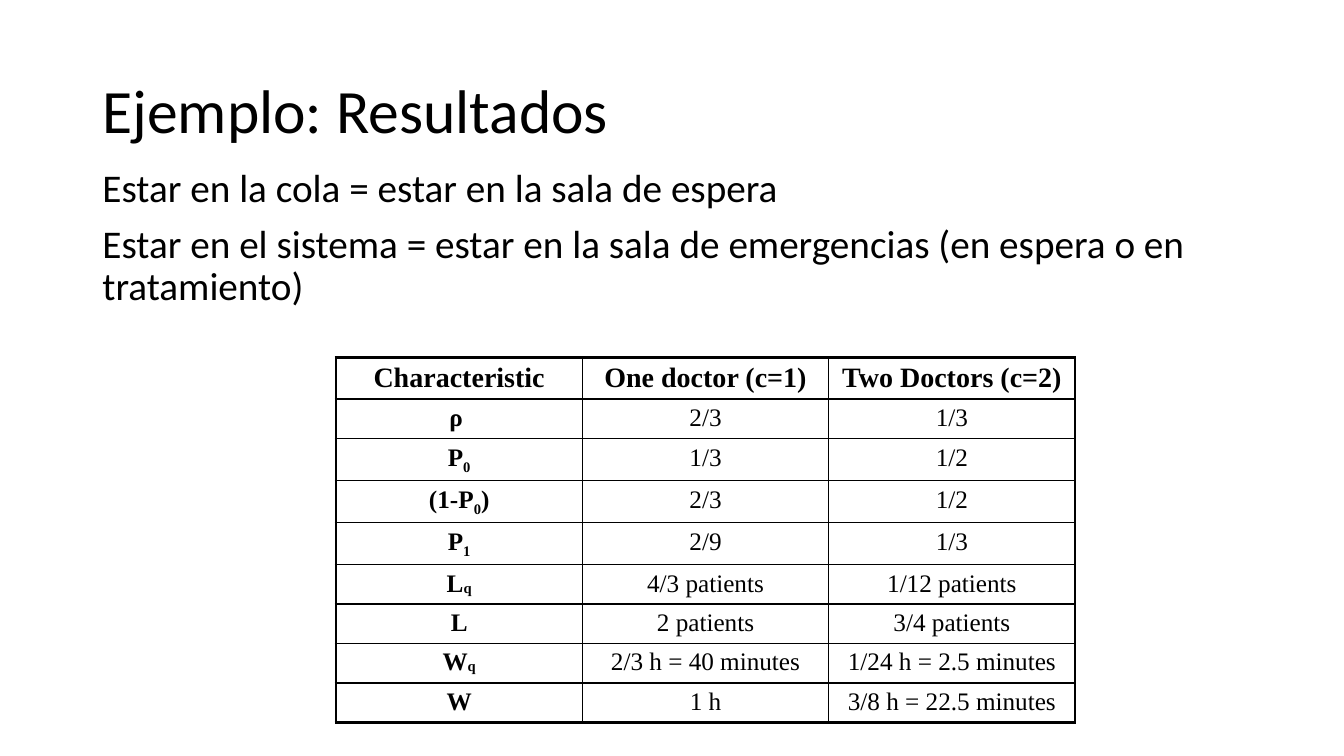
from dataclasses import dataclass

from lxml import etree
from pptx import Presentation
from pptx import util as u
from pptx.dml.color import RGBColor
from pptx.enum import text
from pptx.oxml import ns


@dataclass(frozen=True)
class Theme:
    """Colours, fonts and type sizes of the slide."""
    ink: str = "000000"
    font: str = "Calibri"
    table_font: str = "Times New Roman"
    title: float = 44
    body: float = 28
    header: float = 20
    cell: float = 18
    thick: float = 2.25
    thin: float = 1


class Deck:
    """Holds the theme and the current slide, and adds elements to it."""

    def __init__(self, prs, theme):
        """Start a title-and-content slide."""
        self.theme = theme
        self.s = prs.slides.add_slide(prs.slide_layouts[1])

    def style(self, r, size, font, bold=False):
        """Format one run."""
        r.font.size = u.Pt(size)
        r.font.name = font
        r.font.bold = bold
        r.font.color.rgb = RGBColor.from_string(self.theme.ink)

    def placeholder(self, sp, box, lines, size, anchor, before=0):
        """Move a placeholder and fill it with unbulleted paragraphs."""
        sp.left, sp.top, sp.width, sp.height = (u.Pt(v) for v in box)
        tf = sp.text_frame
        tf.text = "\n".join(lines)
        tf.word_wrap = True
        tf.auto_size = text.MSO_AUTO_SIZE.NONE
        tf.vertical_anchor = anchor
        for p in tf.paragraphs:
            p.alignment = text.PP_ALIGN.LEFT
            p.line_spacing = 0.9
            p.space_before = u.Pt(before)
            pPr = p._p.get_or_add_pPr()
            pPr.set("marL", "0")
            pPr.set("indent", "0")
            etree.SubElement(pPr, ns.qn("a:buNone"))
            for r in p.runs:
                self.style(r, size, self.theme.font)

    def title(self, box, line):
        """Fill the title placeholder."""
        self.placeholder(self.s.shapes.title, box, [line], self.theme.title,
                         text.MSO_ANCHOR.MIDDLE)

    def body(self, box, lines):
        """Fill the body placeholder."""
        self.placeholder(self.s.placeholders[1], box, lines, self.theme.body,
                         text.MSO_ANCHOR.TOP, 10)

    def borders(self, cell, widths):
        """Draw the left, right, top and bottom borders of a cell."""
        tcPr = cell._tc.get_or_add_tcPr()
        for i, (side, width) in enumerate(zip("LRTB", widths)):
            ln = etree.Element(ns.qn(f"a:ln{side}"), w=str(u.Pt(width)))
            fill = etree.SubElement(ln, ns.qn("a:solidFill"))
            etree.SubElement(fill, ns.qn("a:srgbClr"), val=self.theme.ink)
            tcPr.insert(i, ln)

    def cell(self, cell, parts, size, bold):
        """Write a centred cell whose second part is a subscript."""
        p = cell.text_frame.paragraphs[0]
        p.alignment = text.PP_ALIGN.CENTER
        spacing = etree.SubElement(p._p.get_or_add_pPr(), ns.qn("a:spcBef"))
        etree.SubElement(spacing, ns.qn("a:spcPct"), val="20000")
        for i, part in enumerate(parts):
            r = p.add_run()
            r.text = part
            self.style(r, size, self.theme.table_font, bold)
            if i == 1:
                baseline = "-25000" if part.isdigit() else "-4000"
                r.font._element.set("baseline", baseline)

    def table(self, box, rows):
        """Add a ruled table with a heavy frame and header rule."""
        t = self.theme
        n, m = len(rows), len(rows[0])
        tbl = self.s.shapes.add_table(n, m, *(u.Pt(v) for v in box)).table
        tbl.first_row = tbl.horz_banding = False
        for i, row in enumerate(rows):
            for j, value in enumerate(row):
                cell = tbl.cell(i, j)
                cell.fill.background()
                parts = (value,) if isinstance(value, str) else value
                self.cell(cell, parts, t.cell if i else t.header, i == 0 or j == 0)
                heavy = (j == 0, j == m - 1, i <= 1, i in (0, n - 1))
                self.borders(cell, [t.thick if h else t.thin for h in heavy])


def main():
    """Build and save the slide."""
    prs = Presentation()
    prs.slide_width, prs.slide_height = u.Pt(960), u.Pt(540)
    deck = Deck(prs, Theme())
    deck.title((66, 28.75, 828, 104.4), "Ejemplo: Resultados")
    deck.body((66, 116.6, 828, 342.7), [
        "Estar en la cola = estar en la sala de espera",
        "Estar en el sistema = estar en la sala de emergencias "
        "(en espera o en tratamiento)",
    ])
    deck.table((240, 255.6, 528, 254), [
        ("Characteristic", "One doctor (c=1)", "Two Doctors (c=2)"),
        ("ρ ", "2/3", "1/3"),
        (("P", "0"), "1/3", "1/2"),
        (("(1-P", "0", ")"), "2/3", "1/2"),
        (("P", "1"), "2/9", "1/3"),
        (("L", "q"), "4/3 patients", "1/12 patients"),
        ("L", "2 patients", "3/4 patients"),
        (("W", "q"), "2/3 h = 40 minutes", "1/24 h = 2.5 minutes"),
        ("W", "1 h", "3/8 h = 22.5 minutes"),
    ])
    prs.save("out.pptx")


if __name__ == "__main__":
    main()
